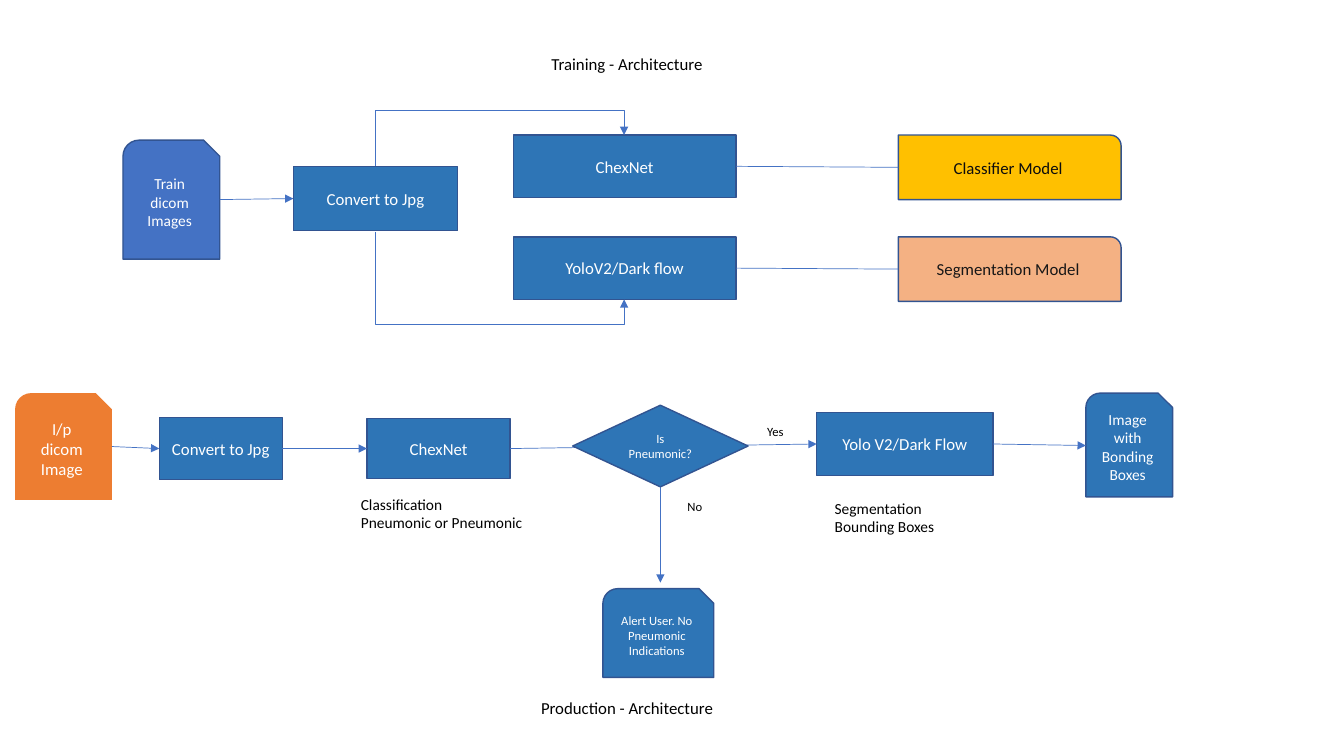
from lxml.etree import SubElement
from pptx import Presentation
from pptx.dml.color import RGBColor
from pptx.enum.shapes import MSO_CONNECTOR as Line, MSO_SHAPE as Kind
from pptx.enum.text import MSO_ANCHOR as Anchor, PP_ALIGN as Align
from pptx.oxml.ns import qn
from pptx.util import Inches, Pt

deck = Presentation()
deck.slide_width, deck.slide_height = Inches(13.33), Inches(7.5)
page = deck.slides.add_slide(deck.slide_layouts[6])
COLUMNS, ROWS = 133.3, 75
BLUE, WHITE, BLACK = "2E75B6", "FFFFFF", "000000"
TOP, LEFT, BOTTOM, RIGHT = range(4)


def grid(*lengths):
    units = (deck.slide_width / COLUMNS, deck.slide_height / ROWS)
    return [round(length * units[i % 2]) for i, length in enumerate(lengths)]


def write(box, text, size, colour, align):
    frame = box.text_frame
    frame.word_wrap = True
    frame.text = text
    for para in frame.paragraphs:
        para.alignment = align
        para.font.name = "Calibri"
        para.font.size = Pt(size)
        para.font.color.rgb = RGBColor.from_string(colour)


CARD, TAB = Kind.SNIP_ROUND_RECTANGLE, Kind.ROUND_1_RECTANGLE
steps = {
    "train yolo": (Kind.RECTANGLE, (50.9, 23.5, 22.1, 6.2), BLUE, "YoloV2/Dark flow", 12, WHITE),
    "train chexnet": (Kind.RECTANGLE, (50.9, 13.4, 22.1, 6.2), BLUE, "ChexNet", 12, WHITE),
    "chexnet": (Kind.RECTANGLE, (36.4, 41.5, 14.2, 6), BLUE, "ChexNet", 12, WHITE),
    "yolo": (Kind.RECTANGLE, (81, 40.9, 17.5, 6.3), BLUE, "Yolo V2/Dark Flow", 12, WHITE),
    "input": (CARD, (1.5, 39, 9.6, 10.6), "ED7D31", "I/p\ndicom Image", 12, WHITE),
    "decision": (Kind.DIAMOND, (56.8, 40.2, 17.4, 8.1), BLUE, "Is Pneumonic?", 9, WHITE),
    "output": (CARD, (107.7, 39, 8.6, 10.3), BLUE, "Image with Bonding Boxes", 11, WHITE),
    "alert": (CARD, (59.8, 58.4, 11, 8.8), BLUE, "Alert User. No Pneumonic Indications", 9, WHITE),
    "train input": (CARD, (12.2, 13.9, 9.6, 11.8), "4472C4", "Train dicom Images", 11, WHITE),
    "train convert": (Kind.RECTANGLE, (29.1, 16.5, 16.3, 6.4), BLUE, "Convert to Jpg", 12, WHITE),
    "classifier": (TAB, (89.1, 13.4, 22.1, 6.4), "FFC000", "Classifier Model", 12, "0D0D0D"),
    "segmenter": (TAB, (89.1, 23.5, 22.1, 6.4), "F4B183", "Segmentation Model", 12, "181717"),
    "convert": (Kind.RECTANGLE, (15.8, 41.4, 12.2, 6.2), BLUE, "Convert to Jpg", 12, WHITE),
}
shapes = {}
for name, (kind, place, fill, text, size, colour) in steps.items():
    box = shapes[name] = page.shapes.add_shape(kind, *grid(*place))
    box.shadow.inherit = False
    box.fill.solid()
    box.fill.fore_color.rgb = RGBColor.from_string(fill)
    if name == "input":
        box.line.fill.background()
    else:
        box.line.color.rgb = RGBColor.from_string("325491")
        box.line.width = Pt(1)
    box.text_frame.vertical_anchor = Anchor.MIDDLE
    write(box, text, size, colour, Align.CENTER)

captions = [
    ((45.4, 4.8, 33.6, 3), "Training - Architecture", 12, Align.CENTER),
    ((45.4, 68.7, 33.6, 3), "Production - Architecture", 12, Align.CENTER),
    ((34.8, 48.6, 20.5, 4.7), "Classification\nPneumonic or Pneumonic", 11, Align.LEFT),
    ((81.8, 49, 20.5, 4.7), "Segmentation\nBounding Boxes", 11, Align.LEFT),
    ((75.1, 41.6, 4.9, 2.5), "Yes", 9, Align.LEFT),
    ((67.2, 49, 4.9, 2.5), "No", 9, Align.LEFT),
]
for place, text, size, align in captions:
    write(page.shapes.add_textbox(*grid(*place)), text, size, BLACK, align)

links = [
    ((72.9, 16.4, 89.1, 16.6), ("train chexnet", RIGHT), ("classifier", LEFT), False),
    ((72.9, 26.7, 89.1, 26.8), ("train yolo", RIGHT), ("segmenter", LEFT), False),
    ((21.8, 19.8, 29.1, 19.8), None, ("train convert", LEFT), True),
    ((11.1, 44.3, 15.8, 44.5), None, ("convert", LEFT), True),
    ((28, 44.5, 36.4, 44.5), ("convert", RIGHT), ("chexnet", LEFT), True),
    ((50.6, 44.5, 81, 44.1), ("chexnet", RIGHT), ("yolo", LEFT), True),
    ((98.5, 44.1, 107.7, 44.2), ("yolo", RIGHT), None, True),
    ((65.5, 48.3, 65.5, 57.8), ("decision", BOTTOM), None, True),
]
connectors = []
for ends, start, finish, arrow in links:
    link = page.shapes.add_connector(Line.STRAIGHT, *grid(*ends))
    if start:
        link.begin_connect(shapes[start[0]], start[1])
    if finish:
        link.end_connect(shapes[finish[0]], finish[1])
    connectors.append((link, arrow))

elbows = [((37.2, 16.5, 61.9, 13.4), 1, 90, 1.788), ((37.2, 23, 61.9, 29.7), -1, 270, 1.374)]
for (x1, y1, x2, y2), side, angle, bend in elbows:
    middle_x, middle_y = (x1 + x2) / 2, (y1 + y2) / 2
    half_x, half_y = abs(y2 - y1) / 2, side * (x2 - x1) / 2
    link = page.shapes.add_connector(Line.ELBOW, *grid(
        middle_x + half_x, middle_y + half_y, middle_x - half_x, middle_y - half_y))
    properties = link._element.spPr
    properties.find(qn("a:xfrm")).set("rot", str(angle * 60000))
    guides = properties.find(qn("a:prstGeom")).find(qn("a:avLst"))
    SubElement(guides, qn("a:gd"), name="adj1", fmla=f"val {round(bend * 100000)}")
    connectors.append((link, True))

for link, arrow in connectors:
    link.line.color.rgb = RGBColor.from_string("4472C4")
    link.line.width = Pt(0.5)
    if arrow:
        SubElement(link.line._get_or_add_ln(), qn("a:tailEnd"), type="triangle")
    SubElement(link._element.spPr, qn("a:effectLst"))

page.shapes._spTree.append(shapes["decision"]._element)
deck.save("out.pptx")
